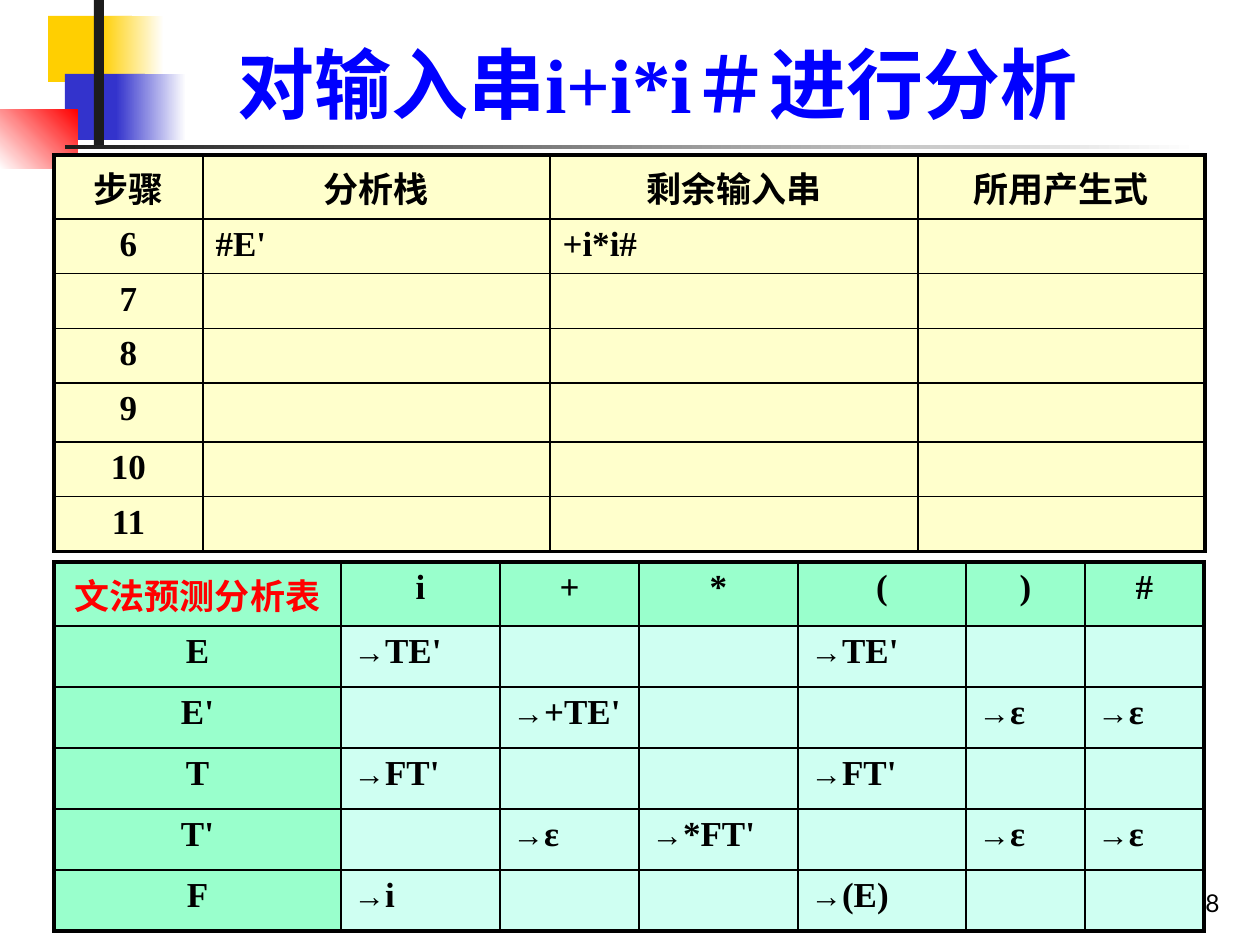
from lxml import etree
from pptx import Presentation
from pptx import util as u
from pptx.dml.color import RGBColor
from pptx.enum import shapes, text
from pptx.oxml.ns import qn

SCALE = 914400 / 126
FONT = "Times New Roman"
COLORS = {
    "yellow": "FFCF01", "indigo": "3333CC", "red": "FF0000", "ink": "1C1C1C",
    "white": "FFFFFF", "black": "000000", "title": "0000FF",
    "cream": "FFFFCC", "mint": "99FFCC", "pale": "CFFFF2",
}
STEPS = [["步骤", "分析栈", "剩余输入串", "所用产生式"], ["6", "#E'", "+i*i#", ""]]
STEPS += [[str(step), "", "", ""] for step in range(7, 12)]
GRAMMAR = [
    ["文法预测分析表", "i", "+", "*", "(", ")", "#"],
    ["E", "→TE'", "", "", "→TE'", "", ""],
    ["E'", "", "→+TE'", "", "", "→ε", "→ε"],
    ["T", "→FT'", "", "", "→FT'", "", ""],
    ["T'", "", "→ε", "→*FT'", "", "→ε", "→ε"],
    ["F", "→i", "", "", "→(E)", "", ""],
]


def px(length):
    """Turn pixels into EMU."""
    return u.Emu(round(length * SCALE))


def rgb(name):
    """Look up a named colour."""
    return RGBColor.from_string(COLORS[name])


def style(paragraph, size, color, align, font=FONT, bold=True):
    """Set the font and alignment of a paragraph."""
    paragraph.alignment = align
    paragraph.font.size = u.Pt(size)
    paragraph.font.name = font
    paragraph.font.bold = bold
    paragraph.font.color.rgb = rgb(color)


def add_block(slide, box, start, end=None, angle=0):
    """Add a rectangle with a plain or two-colour fill."""
    shape = slide.shapes.add_shape(shapes.MSO_SHAPE.RECTANGLE, *map(px, box))
    shape.shadow.inherit = False
    shape.line.fill.background()
    if end is None:
        shape.fill.solid()
        shape.fill.fore_color.rgb = rgb(start)
        return
    shape.fill.gradient()
    shape.fill.gradient_angle = angle
    for stop, position, name in zip(shape.fill.gradient_stops, (0, 1), (start, end)):
        stop.position = position
        stop.color.rgb = rgb(name)


def add_ornament(slide, left, top):
    """Add the coloured squares, the upright bar and the title rule."""
    for x, y, width, height, *fill in (
        (48, 16, 84, 66, "yellow"),
        (101, 16, 63, 66, "yellow", "white"),
        (65, 74, 80, 66, "indigo"),
        (116, 74, 70, 66, "indigo", "white"),
        (0, 110, 78, 59, "white", "red", 45),
        (94, 0, 10, 146, "ink"),
        (65, 145, 1134, 4, "ink", "white"),
    ):
        add_block(slide, (left + x, top + y, width, height), *fill)


def add_label(slide, box, words, *look):
    """Add a bottom-anchored line of text."""
    frame = slide.shapes.add_textbox(*map(px, box)).text_frame
    frame.word_wrap = True
    frame.vertical_anchor = text.MSO_ANCHOR.BOTTOM
    frame.paragraphs[0].text = words
    style(frame.paragraphs[0], *look)


def add_borders(cell, widths):
    """Draw the left, right, top and bottom borders of a cell."""
    properties = cell._tc.get_or_add_tcPr()
    for side, width in zip("LRTB", widths):
        line = etree.SubElement(properties, qn(f"a:ln{side}"), w=str(u.Pt(width)))
        fill = etree.SubElement(line, qn("a:solidFill"))
        etree.SubElement(fill, qn("a:srgbClr"), val=COLORS["black"])


def fill_cell(cell, words, color, align):
    """Write the text of a cell, with a smaller arrow in front of a production."""
    paragraph = cell.text_frame.paragraphs[0]
    style(paragraph, 20, color, align)
    if words.startswith("→"):
        arrow = paragraph.add_run()
        arrow.text = "→"
        arrow.font.size = u.Pt(18)
        words = words[1:]
    if words:
        paragraph.add_run().text = words


def add_grid(slide, box, rows, widths, heights, head, body, corner="black"):
    """Add a table with a heavy frame and a header row and column."""
    table = slide.shapes.add_table(len(rows), len(widths), *map(px, box)).table
    table.first_row = table.horz_banding = False
    for column, width in zip(table.columns, widths):
        column.width = px(width)
    for row, height in zip(table.rows, heights):
        row.height = px(height)
    for r, row in enumerate(rows):
        for c, words in enumerate(row):
            cell = table.cell(r, c)
            edges = (c == 0, c == len(row) - 1, r == 0, r == len(rows) - 1)
            add_borders(cell, [2.25 if edge else 1 for edge in edges])
            header = r == 0 or c == 0
            cell.fill.solid()
            cell.fill.fore_color.rgb = rgb(head if header else body)
            align = text.PP_ALIGN.CENTER if header else text.PP_ALIGN.LEFT
            fill_cell(cell, words, corner if r == c == 0 else "black", align)


def main():
    """Build and save the slide."""
    presentation = Presentation()
    presentation.slide_width, presentation.slide_height = px(1260), px(945)
    slide = presentation.slides.add_slide(presentation.slide_layouts[6])
    add_ornament(slide, 0, 0)
    add_label(slide, (970, 861, 262, 63), "48", 14, "black",
              text.PP_ALIGN.RIGHT, "Lato", False)
    add_label(slide, (159, 29, 997, 106), "对输入串i+i*i＃进行分析", 44, "title",
              text.PP_ALIGN.CENTER)
    add_grid(slide, (54, 562, 1150, 369), GRAMMAR, (287, 159, 139, 159, 168, 119, 119),
             [64] + [61] * 5, "mint", "pale", "red")
    add_grid(slide, (54, 155, 1151, 381), STEPS, (149, 347, 368, 287),
             (64, 51, 52, 52, 59, 52, 51), "cream", "cream")
    presentation.save("out.pptx")


if __name__ == "__main__":
    main()
